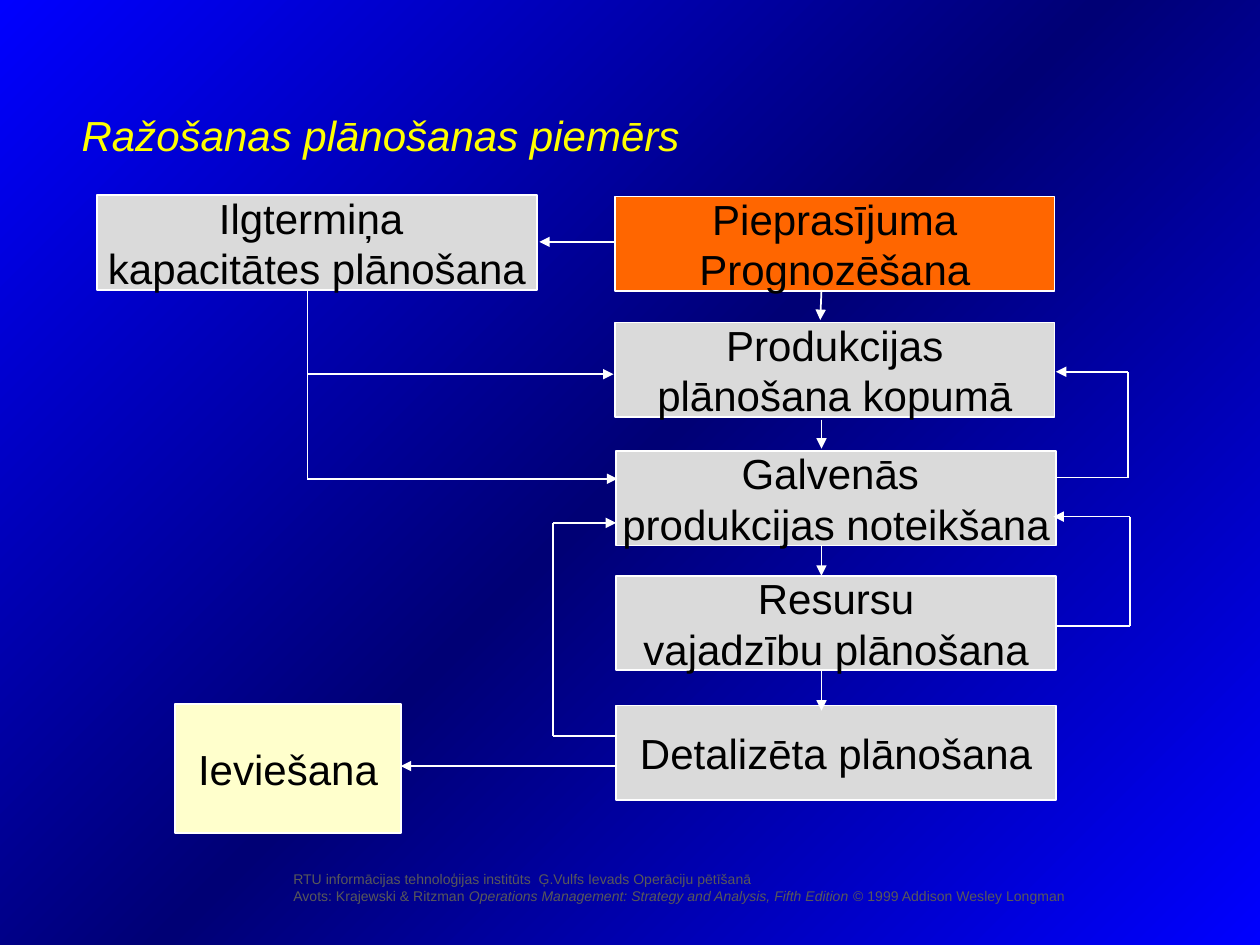
import copy

import pptx
import pptx.dml.color
import pptx.enum.shapes
import pptx.enum.text
import pptx.oxml.ns
import pptx.util
from lxml import etree

# The slide is a grid of 100 columns by 75 rows of square cells
CELL = pptx.util.Inches(0.1)
BOX_W, BOX_H = 34.9, 7.5
LEFT_COL, RIGHT_COL = 7.7, 48.9
FLOW_X, TRUNK_X = 65.2, 24.4
GREY, ORANGE, CREAM = "DADADA", "FF6600", "FFFFCC"
WHITE, BLACK, YELLOW, FOOTER_GREY = "FFFFFF", "000000", "FFFF00", "595959"

BOXES = [
    (RIGHT_COL - 0.1, 25.6, BOX_W, BOX_H, GREY, "Produkcijas\nplānošana kopumā"),
    (RIGHT_COL, 35.8, BOX_W, BOX_H, GREY, "Galvenās \nprodukcijas noteikšana"),
    (RIGHT_COL, 45.7, BOX_W, BOX_H, GREY, "Resursu\nvajadzību plānošana"),
    (RIGHT_COL, 56, BOX_W, BOX_H, GREY, "Detalizēta plānošana"),
    (13.9, 55.9, 17.9, 10.2, CREAM, "Ieviešana"),
    (RIGHT_COL - 0.1, 15.6, BOX_W, BOX_H, ORANGE, "Pieprasījuma\nPrognozēšana"),
    (LEFT_COL, 15.5, BOX_W, BOX_H, GREY, "Ilgtermiņa \nkapacitātes plānošana"),
]

# Each route ends in an arrowhead
ROUTES = [
    # Feedback loops
    [(83.9, 37.9), (89.5, 37.9), (89.5, 29.5), (83.8, 29.5)],
    [(83.8, 49.7), (89.7, 49.7), (89.7, 41), (83.6, 41)],
    [(48.9, 58.4), (43.9, 58.4), (43.9, 41.5), (48.9, 41.5)],
    # Capacity plan to the production plans
    [(TRUNK_X, 23.1), (TRUNK_X, 38), (49, 38)],
    [(TRUNK_X, 29.7), (48.7, 29.7)],
    # Forecast to capacity, detail to implementation
    [(48.7, 19.2), (42.8, 19.2)],
    [(49, 60.8), (31.8, 60.8)],
    # Main flow downwards
    [(FLOW_X, 23), (FLOW_X - 0.1, 25.4)],
    [(FLOW_X, 33.3), (FLOW_X, 35.6)],
    [(FLOW_X, 43.3), (FLOW_X, 45.7)],
    [(FLOW_X, 53.1), (FLOW_X, 56.4)],
]


def grid(*values):
    return [round(v * CELL) for v in values]


def rgb(hex_color):
    return pptx.dml.color.RGBColor.from_string(hex_color)


def style(font, size, color, italic=False):
    font.name = "Arial"
    font.size = pptx.util.Pt(size)
    font.color.rgb = rgb(color)
    font.italic = italic


def paint_background(s):
    fill = s.background.fill
    fill.gradient()
    fill.gradient_angle = 135
    stops = next(s.element.iter(pptx.oxml.ns.qn("a:gsLst")))
    stops.insert(1, copy.deepcopy(stops[0]))
    colors = ("0000FF", "000075", "0000FF")
    for stop, color, position in zip(fill.gradient_stops, colors, (0, 0.5, 1)):
        stop.color.rgb = rgb(color)
        stop.position = position


def add_box(s, x, y, w, h, color, text):
    sp = s.shapes.add_shape(pptx.enum.shapes.MSO_SHAPE.RECTANGLE, *grid(x, y, w, h))
    sp.shadow.inherit = False
    sp.fill.solid()
    sp.fill.fore_color.rgb = rgb(color)
    sp.line.color.rgb = rgb(WHITE)
    sp.line.width = pptx.util.Pt(1)
    tf = sp.text_frame
    tf.word_wrap = False
    tf.vertical_anchor = pptx.enum.text.MSO_ANCHOR.MIDDLE
    tf.text = text
    for p in tf.paragraphs:
        p.alignment = pptx.enum.text.PP_ALIGN.CENTER
        for r in p.runs:
            style(r.font, 24, BLACK)


def add_line(s, start, end, arrow):
    kind = pptx.enum.shapes.MSO_CONNECTOR.STRAIGHT
    c = s.shapes.add_connector(kind, *grid(*start, *end))
    c.line.color.rgb = rgb(WHITE)
    c.line.width = pptx.util.Pt(1)
    qn = pptx.oxml.ns.qn
    if arrow:
        ln = c.element.spPr.find(qn("a:ln"))
        etree.SubElement(ln, qn("a:tailEnd"), type="triangle")
    etree.SubElement(c.element.spPr, qn("a:effectLst"))


def add_route(s, points):
    for i, (start, end) in enumerate(zip(points, points[1:]), 2):
        add_line(s, start, end, arrow=i == len(points))


def add_text(s, x, y, w, h, lines, size, color):
    """Each line is a list of (text, italic) pieces."""
    tf = s.shapes.add_textbox(*grid(x, y, w, h)).text_frame
    tf.word_wrap = True
    tf.vertical_anchor = pptx.enum.text.MSO_ANCHOR.MIDDLE
    for i, pieces in enumerate(lines):
        p = tf.add_paragraph() if i else tf.paragraphs[0]
        for text, italic in pieces:
            r = p.add_run()
            r.text = text
            style(r.font, size, color, italic)


def main():
    prs = pptx.Presentation()
    prs.slide_width, prs.slide_height = grid(100, 75)
    s = prs.slides.add_slide(prs.slide_layouts[6])
    paint_background(s)

    # Source note
    add_text(s, 22.3, 68.6, 77.7, 3.7, [
        [("RTU informācijas tehnoloģijas institūts  Ģ.Vulfs Ievads Operāciju pētīšanā", False)],
        [("Avots: Krajewski & Ritzman ", False),
         ("Operations Management: Strategy and Analysis, Fifth Edition", True),
         (" © 1999 Addison Wesley Longman", False)],
    ], 8, FOOTER_GREY)

    # Flow chart
    for box in BOXES:
        add_box(s, *box)
    for points in ROUTES:
        add_route(s, points)

    # Title
    add_text(s, 5.5, 4.4, 85, 12.5, [[("Ražošanas plānošanas piemērs", True)]], 24, YELLOW)

    prs.save("out.pptx")


if __name__ == "__main__":
    main()
